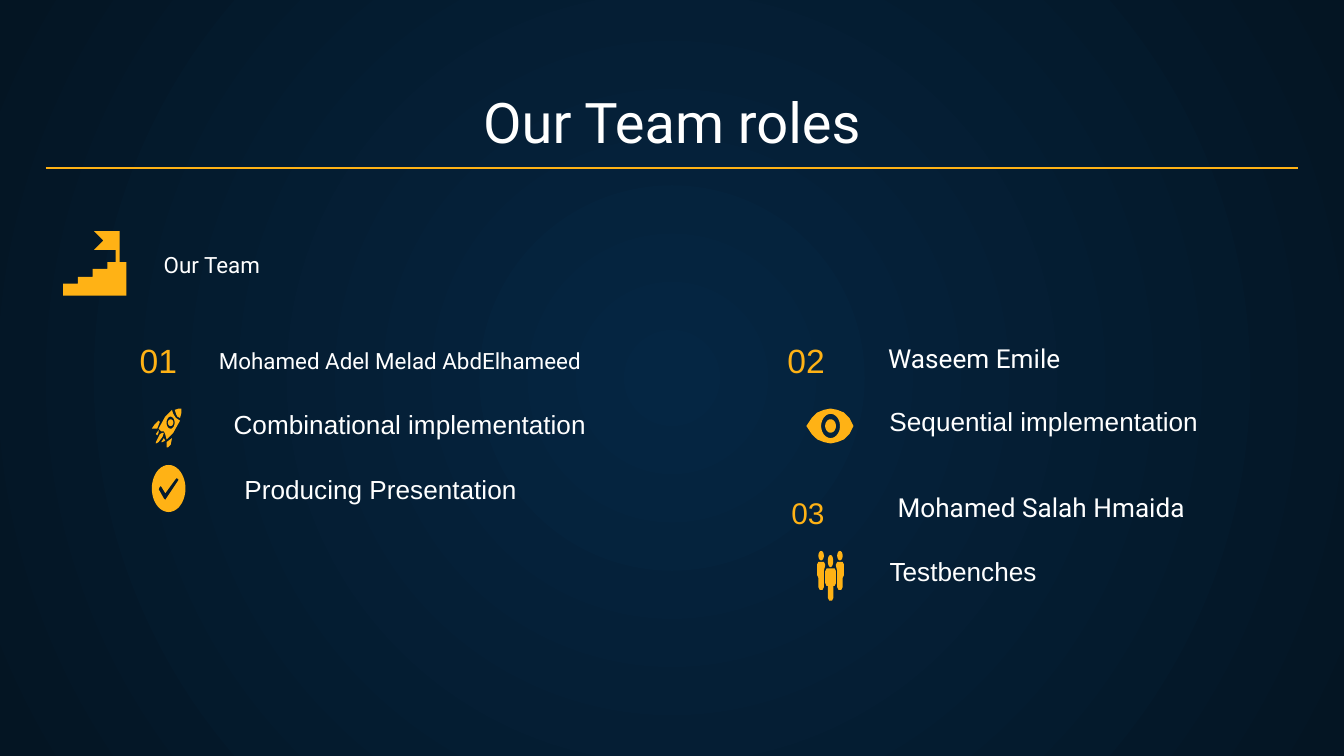
from dataclasses import dataclass
from math import cos, pi, sin

from lxml.etree import SubElement
from pptx import Presentation
from pptx.dml.color import RGBColor
from pptx.enum.shapes import MSO_CONNECTOR
from pptx.enum.text import MSO_ANCHOR, MSO_AUTO_SIZE, PP_ALIGN
from pptx.oxml.ns import qn
from pptx.util import Inches, Pt

GOLD = RGBColor(0xFF, 0xB2, 0x15)
WHITE = RGBColor(0xFF, 0xFF, 0xFF)
NAVY = RGBColor(0x05, 0x26, 0x43)
MIDNIGHT = RGBColor(0x04, 0x15, 0x23)

Contour = list[tuple[float, float]]


@dataclass
class Label:
    text: str
    left: float
    top: float
    width: float
    height: float
    size: int = 14
    color: RGBColor = WHITE


NAMES = [
    Label("Our Team", 1.12, 1.96, 2.27, 0.21, size=12),
    Label("Mohamed Adel Melad AbdElhameed", 1.53, 2.57, 3.47, 0.31, size=12),
    Label("Waseem Emile", 6.51, 2.67, 2.27, 0.21),
    Label("Mohamed Salah Hmaida", 6.58, 3.7, 2.72, 0.29),
]
NUMBERS = [
    Label("01", 0.94, 2.48, 0.48, 0.4, size=18, color=GOLD),
    Label("02", 5.76, 2.48, 0.48, 0.4, size=18, color=GOLD),
    Label("03", 5.79, 3.63, 0.45, 0.37, size=16, color=GOLD),
]
ROLES = [
    Label("Combinational implementation", 1.64, 2.99, 2.9, 0.34),
    Label("Producing Presentation", 1.72, 3.47, 2.29, 0.34),
    Label("Sequential implementation", 6.52, 2.97, 2.56, 0.34),
    Label("Testbenches", 6.52, 4.08, 1.38, 0.34),
]


def write(box, text: str, *, size: int, font: str, color: RGBColor = WHITE,
          align=PP_ALIGN.LEFT) -> None:
    para = box.text_frame.paragraphs[0]
    para.alignment = align
    span = para.add_run()
    span.text = text
    span.font.size = Pt(size)
    span.font.name = font
    span.font.color.rgb = color


def set_title_frame(box) -> None:
    frame = box.text_frame
    frame.word_wrap = True
    frame.auto_size = MSO_AUTO_SIZE.NONE
    frame.vertical_anchor = MSO_ANCHOR.BOTTOM
    frame.margin_left = frame.margin_right = Inches(0.1)
    frame.margin_top = frame.margin_bottom = Inches(0.1)


def add_label(page, label: Label, *, heading: bool) -> None:
    box = page.shapes.add_textbox(Inches(label.left), Inches(label.top),
                                  Inches(label.width), Inches(label.height))
    if heading:
        set_title_frame(box)
    else:
        box.text_frame.word_wrap = False
        box.text_frame.auto_size = MSO_AUTO_SIZE.SHAPE_TO_FIT_TEXT
    write(box, label.text, size=label.size, color=label.color,
          font="Roboto" if heading else "Arial")


def ellipse(left: float, top: float, width: float, height: float) -> Contour:
    steps = 40
    return [(left + width / 2 * (1 + cos(2 * pi * i / steps)),
             top + height / 2 * (1 + sin(2 * pi * i / steps))) for i in range(steps)]


def mirror(contour: Contour, axis: float) -> Contour:
    return [(2 * axis - x, y) for x, y in contour]


def add_icon_part(page, *contours: Contour) -> None:
    """Draw one gold outline; contours inside the first become holes."""
    points = [[(Inches(x), Inches(y)) for x, y in contour] for contour in contours]
    builder = page.shapes.build_freeform(*points[0][0], scale=1.0)
    builder.add_line_segments(points[0][1:], close=True)
    for hole in points[1:]:
        builder.move_to(*hole[0])
        builder.add_line_segments(hole[1:], close=True)
    shape = builder.convert_to_shape()
    shape.shadow.inherit = False
    shape.fill.solid()
    shape.fill.fore_color.rgb = GOLD
    shape.line.fill.background()


def add_stairs(page) -> None:
    add_icon_part(page, [
        (0.7, 1.72), (0.77, 1.79), (0.7, 1.86), (0.86, 1.86), (0.86, 1.95), (0.8, 1.95),
        (0.8, 2), (0.69, 2), (0.69, 2.06), (0.58, 2.06), (0.58, 2.11), (0.47, 2.11),
        (0.47, 2.2), (0.94, 2.2), (0.94, 1.95), (0.89, 1.95), (0.89, 1.72)])


def add_rocket(page) -> None:
    nose = [(1.3, 3.05), (1.33, 3.04), (1.35, 3.04), (1.35, 3.07), (1.34, 3.11),
            (1.32, 3.1), (1.31, 3.08)]
    body = [(1.28, 3.05), (1.23, 3.1), (1.18, 3.19), (1.2, 3.21), (1.22, 3.21), (1.23, 3.23),
            (1.24, 3.27), (1.29, 3.22), (1.34, 3.13), (1.31, 3.11), (1.29, 3.08)]
    upper_fin = [(1.18, 3.13), (1.15, 3.16), (1.13, 3.19), (1.17, 3.19), (1.19, 3.14)]
    lower_fin = [(1.28, 3.26), (1.24, 3.29), (1.24, 3.33), (1.25, 3.33), (1.27, 3.31)]
    flame = [(1.21, 3.22), (1.19, 3.23), (1.16, 3.29), (1.16, 3.3), (1.18, 3.29),
             (1.21, 3.25), (1.22, 3.22)]
    upper_spark = [(1.18, 3.2), (1.16, 3.23), (1.17, 3.24), (1.18, 3.22)]
    lower_spark = [(1.22, 3.26), (1.2, 3.29), (1.21, 3.29), (1.23, 3.28)]
    add_icon_part(page, body, ellipse(1.24, 3.1, 0.06, 0.09))
    for part in (nose, upper_fin, lower_fin, flame, upper_spark, lower_spark,
                 ellipse(1.25, 3.12, 0.04, 0.05)):
        add_icon_part(page, part)


def add_check(page) -> None:
    tick = [(1.31, 3.56), (1.32, 3.56), (1.33, 3.57), (1.23, 3.72), (1.22, 3.71),
            (1.18, 3.64), (1.19, 3.62), (1.2, 3.62), (1.23, 3.67)]
    add_icon_part(page, ellipse(1.13, 3.46, 0.25, 0.35), tick)


def add_eye(page) -> None:
    upper_lid = [(6, 3.17), (6.04, 3.11), (6.08, 3.07), (6.13, 3.05), (6.18, 3.04),
                 (6.23, 3.05), (6.28, 3.07), (6.32, 3.11), (6.35, 3.17)]
    lower_lid = [(x, 2 * 3.17 - y) for x, y in reversed(upper_lid[1:-1])]
    add_icon_part(page, upper_lid + lower_lid, ellipse(6.11, 3.08, 0.14, 0.18),
                  ellipse(6.14, 3.12, 0.08, 0.1))


def add_people(page) -> None:
    middle = 6.18
    side = [(6.09, 4.18), (6.08, 4.2), (6.08, 4.28), (6.09, 4.3), (6.09, 4.37), (6.1, 4.39),
            (6.12, 4.39), (6.13, 4.37), (6.13, 4.25), (6.14, 4.21), (6.14, 4.2), (6.13, 4.18)]
    front_half = [(6.15, 4.23), (6.14, 4.25), (6.14, 4.34), (6.15, 4.36), (6.16, 4.36),
                  (6.16, 4.45), (6.17, 4.47)]
    head = ellipse(6.09, 4.1, 0.04, 0.07)
    for part in (head, side):
        add_icon_part(page, part)
        add_icon_part(page, mirror(part, middle))
    add_icon_part(page, ellipse(6.16, 4.13, 0.04, 0.09))
    add_icon_part(page, front_half + mirror(front_half, middle)[::-1])


def set_background(page) -> None:
    fill = page.background.fill
    fill.gradient()
    for stop, color in zip(fill.gradient_stops, (NAVY, MIDNIGHT)):
        stop.color.rgb = color
    gradient = page.element.find(".//" + qn("a:gradFill"))
    gradient.remove(gradient.find(qn("a:lin")))
    circle = SubElement(gradient, qn("a:path"), {"path": "circle"})
    SubElement(circle, qn("a:fillToRect"), dict.fromkeys("ltrb", "50000"))


def main() -> None:
    deck = Presentation()
    deck.slide_width = Inches(10)
    deck.slide_height = deck.slide_width * 9 // 16
    page = deck.slides.add_slide(deck.slide_layouts[5])
    set_background(page)

    # Title and rule
    title = page.shapes.title
    title.left, title.top = Inches(0.34), Inches(0.59)
    title.width, title.height = Inches(9.32), Inches(0.66)
    set_title_frame(title)
    write(title, "Our Team roles", size=30, font="Roboto", align=PP_ALIGN.CENTER)
    rule = page.shapes.add_connector(MSO_CONNECTOR.STRAIGHT, Inches(0.34), Inches(1.25),
                                     Inches(9.66), Inches(1.25))
    rule.line.color.rgb = GOLD
    rule.line.width = Pt(0.75)
    SubElement(rule.element.spPr, qn("a:effectLst"))

    # Names, numbers and roles
    for label in NAMES:
        add_label(page, label, heading=True)
    for label in NUMBERS + ROLES:
        add_label(page, label, heading=False)

    # Icons
    for add_icon in (add_stairs, add_rocket, add_check, add_eye, add_people):
        add_icon(page)

    deck.save("out.pptx")


if __name__ == "__main__":
    main()
